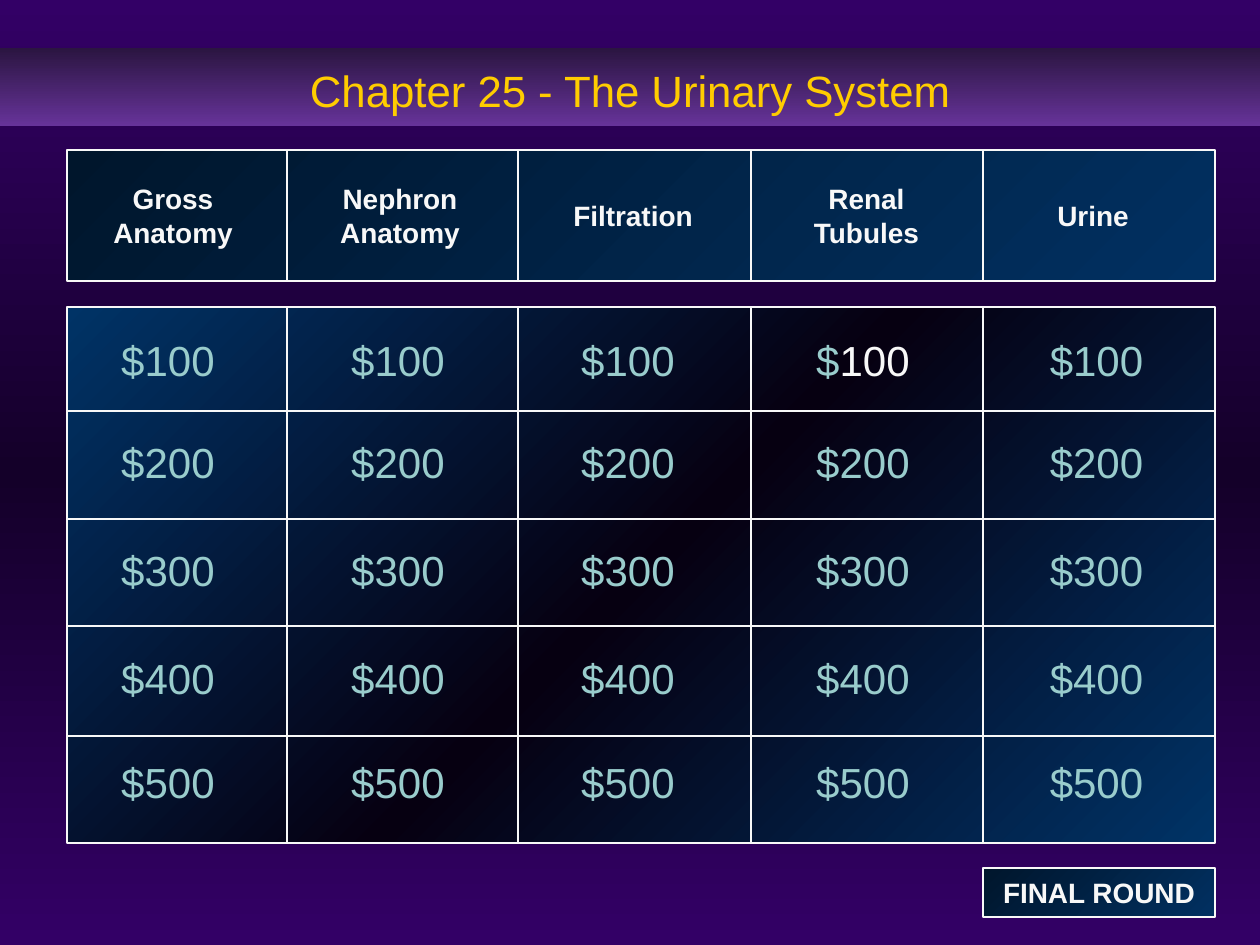
import copy
import dataclasses

import lxml.etree
import pptx
import pptx.dml.color
import pptx.enum.shapes
import pptx.enum.text
import pptx.oxml.ns
import pptx.util

PX = 914400 / 126


@dataclasses.dataclass(frozen=True)
class Theme:
    font: str = "Arial"
    title: str = "FFCC00"
    price: str = "99CCCC"
    light: str = "F8F8F8"
    backdrop: tuple = ("330066", "140029", "330066")
    banner: tuple = ("2B1541", "663399")
    board: tuple = ("003366", "060011", "003366")
    panel: tuple = ("013061", "00162C")
    title_size: int = 25
    price_size: int = 24
    label_size: int = 16
    line_width: float = 0.75


def px(*lengths):
    return [pptx.util.Emu(round(n * PX)) for n in lengths]


def rgb(color):
    return pptx.dml.color.RGBColor.from_string(color)


def write(p, text, *, font, size, color, bold=False):
    r = p.add_run()
    r.text = text
    r.font.name = font
    r.font.size = pptx.util.Pt(size)
    r.font.color.rgb = rgb(color)
    r.font.bold = bold


def gradient(fill, element, colors, angle):
    fill.gradient()
    fill.gradient_angle = 360 - angle
    stops = element.find(".//" + pptx.oxml.ns.qn("a:gsLst"))
    model = copy.deepcopy(stops[0])
    stops.clear()
    for i, color in enumerate(colors):
        stop = copy.deepcopy(model)
        stop.set("pos", str(100000 * i // (len(colors) - 1)))
        for child in list(stop):
            stop.remove(child)
        lxml.etree.SubElement(stop, pptx.oxml.ns.qn("a:srgbClr"), val=color)
        stops.append(stop)


class Board:
    def __init__(self, s, theme):
        self.s = s
        self.theme = theme

    def background(self):
        fill = self.s.background.fill
        gradient(fill, self.s.element, self.theme.backdrop, 90)

    def title(self, text, x, y, w, h):
        sp = self.s.shapes.title
        sp.left, sp.top, sp.width, sp.height = px(x, y, w, h)
        gradient(sp.fill, sp.element, self.theme.banner, 90)
        p = self.paragraph(sp)
        p.line_spacing = 1.1
        write(p, text, font=self.theme.font, size=self.theme.title_size,
              color=self.theme.title)

    def paragraph(self, sp, wrap=True):
        tf = sp.text_frame
        tf.auto_size = pptx.enum.text.MSO_AUTO_SIZE.NONE
        tf.word_wrap = wrap
        tf.vertical_anchor = pptx.enum.text.MSO_ANCHOR.MIDDLE
        p = tf.paragraphs[0]
        p.alignment = pptx.enum.text.PP_ALIGN.CENTER
        return p

    def panel(self, x, y, w, h, colors):
        sp = self.s.shapes.add_shape(
            pptx.enum.shapes.MSO_SHAPE.RECTANGLE, *px(x, y, w, h))
        sp.shadow.inherit = False
        gradient(sp.fill, sp.element, colors, 225)
        self.stroke(sp)
        return sp

    def stroke(self, sp):
        sp.line.color.rgb = rgb(self.theme.light)
        sp.line.width = pptx.util.Pt(self.theme.line_width)

    def rule(self, x1, y1, x2, y2):
        sp = self.s.shapes.add_connector(
            pptx.enum.shapes.MSO_CONNECTOR.STRAIGHT, *px(x1, y1, x2, y2))
        self.stroke(sp)
        lxml.etree.SubElement(sp.element.spPr, pptx.oxml.ns.qn("a:effectLst"))

    def label(self, p, text):
        write(p, text, font=self.theme.font, size=self.theme.label_size,
              color=self.theme.light, bold=True)

    def heading(self, text, x, middle, w):
        h = 81 if " " in text else 47
        sp = self.s.shapes.add_textbox(*px(x, middle - h // 2, w, h))
        self.label(self.paragraph(sp), text)

    def price(self, amount, x, y, w, h, amount_color):
        sp = self.s.shapes.add_textbox(*px(x, y, w, h))
        p = self.paragraph(sp)
        fmt = {"font": self.theme.font, "size": self.theme.price_size}
        if amount_color == self.theme.price:
            write(p, f"${amount}", color=self.theme.price, **fmt)
        else:
            write(p, "$", color=self.theme.price, **fmt)
            write(p, str(amount), color=amount_color, **fmt)

    def button(self, text, x, y, w, h):
        sp = self.panel(x, y, w, h, self.theme.panel)
        self.label(self.paragraph(sp, wrap=False), text)


def main():
    prs = pptx.Presentation()
    prs.slide_width, prs.slide_height = px(1260, 945)
    theme = Theme()
    board = Board(prs.slides.add_slide(prs.slide_layouts[5]), theme)

    left, width = 67, 1148
    head_top, head_height = 150, 131
    grid_top, grid_height = 307, 536
    headings = [("Gross Anatomy", 68, 210), ("Nephron Anatomy", 295, 210),
                ("Filtration", 528, 210), ("Renal Tubules", 767, 199),
                ("Urine", 988, 210)]
    price_columns = [(93, 150), (323, 150), (553, 150), (788, 150), (1019, 155)]
    price_tops = [328, 430, 538, 646, 750]
    highlighted = (3, 100)

    board.background()
    board.title("Chapter 25 - The Urinary System", 0, 48, 1260, 78)
    board.panel(left, grid_top, width, grid_height, theme.board)
    board.panel(left, head_top, width, head_height, theme.panel)

    for text, x, w in headings:
        board.heading(text, x, head_top + head_height // 2, w)
    for row, y in enumerate(price_tops, 1):
        for column, (x, w) in enumerate(price_columns):
            amount = row * 100
            color = theme.light if (column, amount) == highlighted else theme.price
            board.price(amount, x, y, w, 63, color)

    for x in (287, 518, 751, 983):
        board.rule(x, head_top, x, head_top + head_height)
        board.rule(x, grid_top, x, grid_top + grid_height)
    for y in (411, 519, 626, 736):
        board.rule(left, y, left + width, y)

    board.button("FINAL ROUND", 983, 868, 232, 49)
    prs.save("out.pptx")


if __name__ == "__main__":
    main()
